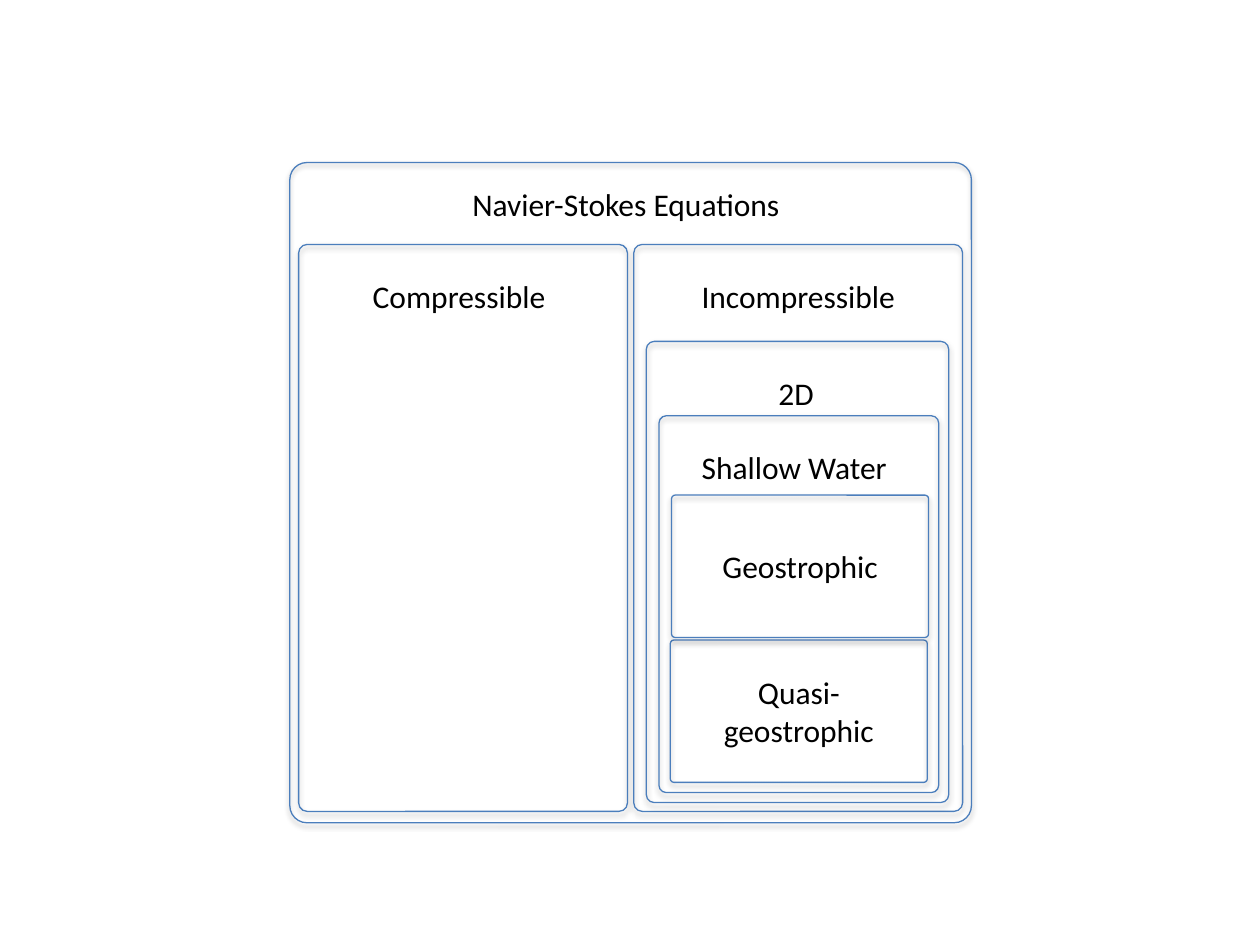
from dataclasses import dataclass

from lxml import etree
from pptx import Presentation
from pptx.dml.color import RGBColor
from pptx.enum.shapes import MSO_SHAPE
from pptx.enum.text import MSO_AUTO_SIZE, PP_ALIGN
from pptx.oxml.ns import qn
from pptx.util import Inches, Pt


@dataclass(frozen=True)
class Theme:
    font: str = "Calibri"
    text_size: float = 18
    text: str = "000000"
    outline: str = "4B7EBC"
    outline_width: float = 0.75
    corner: float = 0.026
    shadow: str = "000000"
    shadow_opacity: int = 35
    shadow_blur: float = 3.1
    shadow_distance: float = 1.8


class NestedDiagram:
    def __init__(self, slide, theme):
        self.slide = slide
        self.theme = theme

    def frame(self, left, top, width, height):
        """Draw an unfilled rounded box with a soft shadow below."""
        theme = self.theme
        box = self.slide.shapes.add_shape(
            MSO_SHAPE.ROUNDED_RECTANGLE,
            Inches(left), Inches(top), Inches(width), Inches(height))
        box.adjustments[0] = theme.corner
        box.fill.background()
        box.line.color.rgb = RGBColor.from_string(theme.outline)
        box.line.width = Pt(theme.outline_width)
        box.shadow.inherit = False
        effects = box._element.spPr.find(qn("a:effectLst"))
        shadow = etree.SubElement(
            effects, qn("a:outerShdw"),
            blurRad=str(Pt(theme.shadow_blur)),
            dist=str(Pt(theme.shadow_distance)),
            dir=str(90 * 60000), rotWithShape="0")
        color = etree.SubElement(shadow, qn("a:srgbClr"), val=theme.shadow)
        etree.SubElement(color, qn("a:alpha"),
                         val=str(theme.shadow_opacity * 1000))

    def label(self, text, left, top, width, height=0.4, wrap=True,
              align=PP_ALIGN.LEFT):
        box = self.slide.shapes.add_textbox(
            Inches(left), Inches(top), Inches(width), Inches(height))
        frame = box.text_frame
        frame.word_wrap = wrap
        frame.auto_size = MSO_AUTO_SIZE.SHAPE_TO_FIT_TEXT
        paragraph = frame.paragraphs[0]
        paragraph.alignment = align
        run = paragraph.add_run()
        run.text = text
        run.font.name = self.theme.font
        run.font.size = Pt(self.theme.text_size)
        run.font.color.rgb = RGBColor.from_string(self.theme.text)


prs = Presentation()
prs.slide_width, prs.slide_height = Inches(10), Inches(7.5)
BLANK_LAYOUT = 6
diagram = NestedDiagram(
    prs.slides.add_slide(prs.slide_layouts[BLANK_LAYOUT]), Theme())

# All equations
diagram.frame(2.3, 1.29, 5.41, 5.24)
diagram.label("Navier-Stokes Equations", 3.65, 1.42, 2.7, wrap=False)

# The two main branches
for name, left, label_left, label_width in (
        ("Compressible", 2.37, 2.86, 1.59),
        ("Incompressible", 5.03, 5.47, 1.76)):
    diagram.frame(left, 1.94, 2.61, 4.5)
    diagram.label(name, label_left, 2.15, label_width, wrap=False)

# Nested incompressible models, each label at the same drop from its frame
LABEL_DROP = 0.21
for name, (left, top, width, height), label_left, label_width in (
        ("2D", (5.13, 2.71, 2.4, 3.66), 6.08, 0.54),
        ("Shallow Water", (5.23, 3.3, 2.22, 2.99), 5.47, 1.76)):
    diagram.frame(left, top, width, height)
    diagram.label(name, label_left, top + LABEL_DROP, label_width)

# Innermost models, with labels centred in their frames
MODEL_WIDTH, MODEL_HEIGHT, LABEL_WIDTH = 2.04, 1.13, 1.62
for name, left, top, label_height in (
        ("Quasi-geostrophic", 5.32, 5.08, 0.71),
        ("Geostrophic", 5.33, 3.93, 0.4)):
    diagram.frame(left, top, MODEL_WIDTH, MODEL_HEIGHT)
    diagram.label(name, left + (MODEL_WIDTH - LABEL_WIDTH) / 2,
                  top + (MODEL_HEIGHT - label_height) / 2,
                  LABEL_WIDTH, label_height, align=PP_ALIGN.CENTER)

prs.save("out.pptx")
